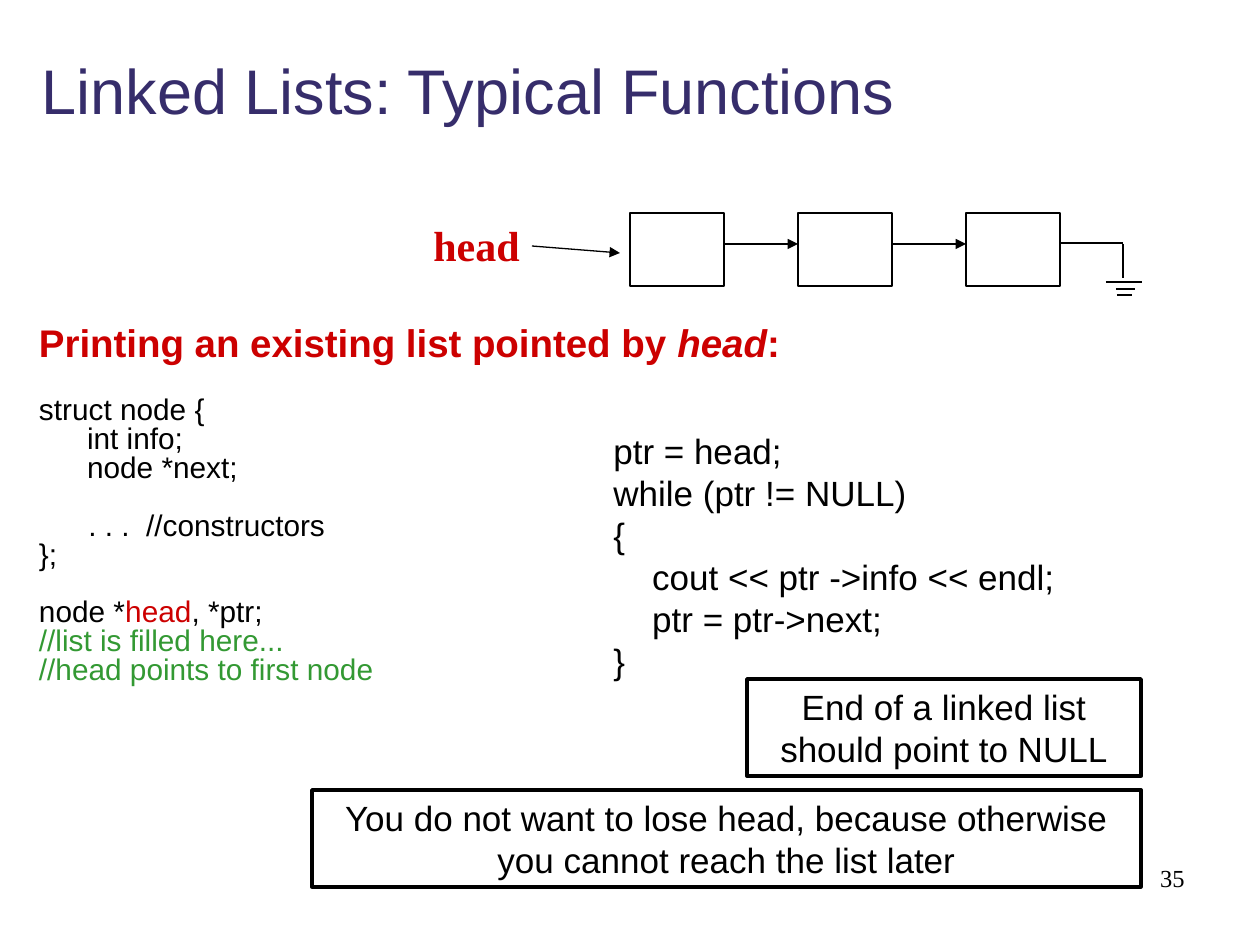
from lxml import etree
from pptx import Presentation
from pptx import util as u
from pptx.dml.color import RGBColor
from pptx.enum import shapes, text
from pptx.oxml import ns

PX = 914400 / 126
BLACK, RED, GREEN, INDIGO = "000000", "CC0000", "339933", "362D6B"
CODE_INDENT = 48
CODE_PITCH = 16.5

DECLARATION = [
    [("struct node {", BLACK)],
    [("\tint info;", BLACK)],
    [("\tnode *next;", BLACK)],
    [("      . . .  //constructors", BLACK)],
    [("};", BLACK)],
    [("node *", BLACK), ("head", RED), (", *ptr;", BLACK)],
    [("//list is filled here...", GREEN)],
    [("//head points to first node", GREEN)],
]
AFTER_GAP = (3, 5)
TRAVERSAL = """ptr = head;
while (ptr != NULL)
{
    cout << ptr ->info << endl;
    ptr = ptr->next;
}"""


def px(length):
    """Turn px into EMU."""
    return u.Emu(round(length * PX))


def color(hex_value):
    """Turn a hex string into a colour."""
    return RGBColor.from_string(hex_value)


def style(font, size, hex_value, name="Arial", bold=False):
    """Set the look of a font."""
    font.size, font.name, font.bold = u.Pt(size), name, bold
    font.color.rgb = color(hex_value)


def add_label(slide, box, wording, size, hex_value, name="Arial", bold=False,
              align=text.PP_ALIGN.LEFT):
    """Add a wrapping text box with one style."""
    frame = slide.shapes.add_textbox(*map(px, box)).text_frame
    frame.word_wrap = True
    frame.text = wording
    for paragraph in frame.paragraphs:
        paragraph.alignment = align
        for run in paragraph.runs:
            style(run.font, size, hex_value, name, bold)
    return frame


def add_rule(slide, start, end, width, arrow=False):
    """Draw a straight black line, with an arrowhead if asked."""
    rule = slide.shapes.add_connector(
        shapes.MSO_CONNECTOR.STRAIGHT, *map(px, (*start, *end)))
    rule.line.color.rgb = color(BLACK)
    rule.line.width = u.Pt(width)
    if arrow:
        etree.SubElement(rule.line._get_or_add_ln(), ns.qn("a:tailEnd"), type="triangle")
    etree.SubElement(rule._element.spPr, ns.qn("a:effectLst"))


def add_box(slide, box, line_width):
    """Draw a black-edged rectangle without fill."""
    rect = slide.shapes.add_shape(shapes.MSO_SHAPE.RECTANGLE, *map(px, box))
    rect.shadow.inherit = False
    rect.fill.background()
    rect.line.color.rgb = color(BLACK)
    rect.line.width = u.Pt(line_width)
    return rect


def add_title(slide, box, wording):
    """Place and format the title placeholder."""
    title = slide.shapes.title
    title.left, title.top, title.width, title.height = map(px, box)
    frame = title.text_frame
    frame.text = wording
    frame.auto_size = text.MSO_AUTO_SIZE.NONE
    frame.vertical_anchor = text.MSO_ANCHOR.MIDDLE
    frame.paragraphs[0].alignment = text.PP_ALIGN.LEFT
    style(frame.paragraphs[0].runs[0].font, 36, INDIGO)


def add_list_diagram(slide, box):
    """Draw the head pointer, three linked nodes and the ground symbol."""
    left, top, _, _ = box
    first, step, node_width, node_height, link_y = 209, 168, 94, 73, top + 31
    add_label(slide, (left, top, 122, 63), "head", 24, RED, "Times New Roman", True)
    add_rule(slide, (left + 111, top + 33), (left + 199, top + 40), 0.75, arrow=True)
    for index in range(3):
        node_left = left + first + index * step
        add_box(slide, (node_left, top, node_width, node_height), 0.75)
        if index < 2:
            add_rule(slide, (node_left + node_width, link_y),
                     (node_left + step, link_y), 0.75, arrow=True)
    ground_x = left + 702
    add_rule(slide, (node_left + node_width, top + 30), (ground_x, top + 30), 1)
    add_rule(slide, (ground_x, link_y), (ground_x, top + 65), 1)
    for depth, before, after in ((69, 17, 19), (76, 7, 12), (82, 6, 9)):
        add_rule(slide, (ground_x - before, top + depth),
                 (ground_x + after, top + depth), 1)


def add_heading(slide, box):
    """Add the red heading with its italic variable."""
    frame = add_label(slide, box, "", 22, RED)
    frame.margin_left = frame.margin_top = 0
    for wording in ("Printing an existing list pointed by ", "head", ":"):
        run = frame.paragraphs[0].add_run()
        run.text = wording
        style(run.font, 22, RED, bold=True)
        run.font.italic = wording == "head"


def add_declaration(slide, box):
    """Add the tightly set struct declaration."""
    frame = add_label(slide, box, "", 17, BLACK)
    frame.margin_left = frame.margin_top = 0
    for index, parts in enumerate(DECLARATION):
        paragraph = frame.add_paragraph() if index else frame.paragraphs[0]
        paragraph.line_spacing = u.Pt(CODE_PITCH)
        if index in AFTER_GAP:
            paragraph.space_before = u.Pt(CODE_PITCH)
        tabs = etree.SubElement(paragraph._p.get_or_add_pPr(), ns.qn("a:tabLst"))
        etree.SubElement(tabs, ns.qn("a:tab"), pos=str(px(CODE_INDENT)), algn="l")
        for wording, hex_value in parts:
            run = paragraph.add_run()
            run.text = wording
            style(run.font, 17, hex_value)


def add_note(slide, box, wording):
    """Add a white framed remark."""
    note = add_box(slide, box, 2)
    note.fill.solid()
    note.fill.fore_color.rgb = color("FFFFFF")
    note.text_frame.word_wrap = True
    note.text_frame.text = wording
    note.text_frame.paragraphs[0].alignment = text.PP_ALIGN.CENTER
    style(note.text_frame.paragraphs[0].runs[0].font, 20, BLACK)


def main():
    """Build and save the slide."""
    deck = Presentation()
    deck.slide_width, deck.slide_height = px(1260), px(945)
    slide = deck.slides.add_slide(deck.slide_layouts[5])
    add_title(slide, (29, 21, 1231, 136), "Linked Lists: Typical Functions")
    add_list_diagram(slide, (421, 213, 721, 82))
    add_heading(slide, (39, 319, 1100, 50))
    add_declaration(slide, (39, 398, 520, 300))
    add_label(slide, (601, 423, 630, 265), TRAVERSAL, 20, BLACK)
    add_note(slide, (747, 679, 394, 97), "End of a linked list should point to NULL")
    add_note(slide, (312, 790, 829, 97),
             "You do not want to lose head, because otherwise you cannot reach the list later")
    add_label(slide, (935, 857, 262, 63), "35", 14, BLACK, "Times New Roman",
              align=text.PP_ALIGN.RIGHT)
    deck.save("out.pptx")


if __name__ == "__main__":
    main()
